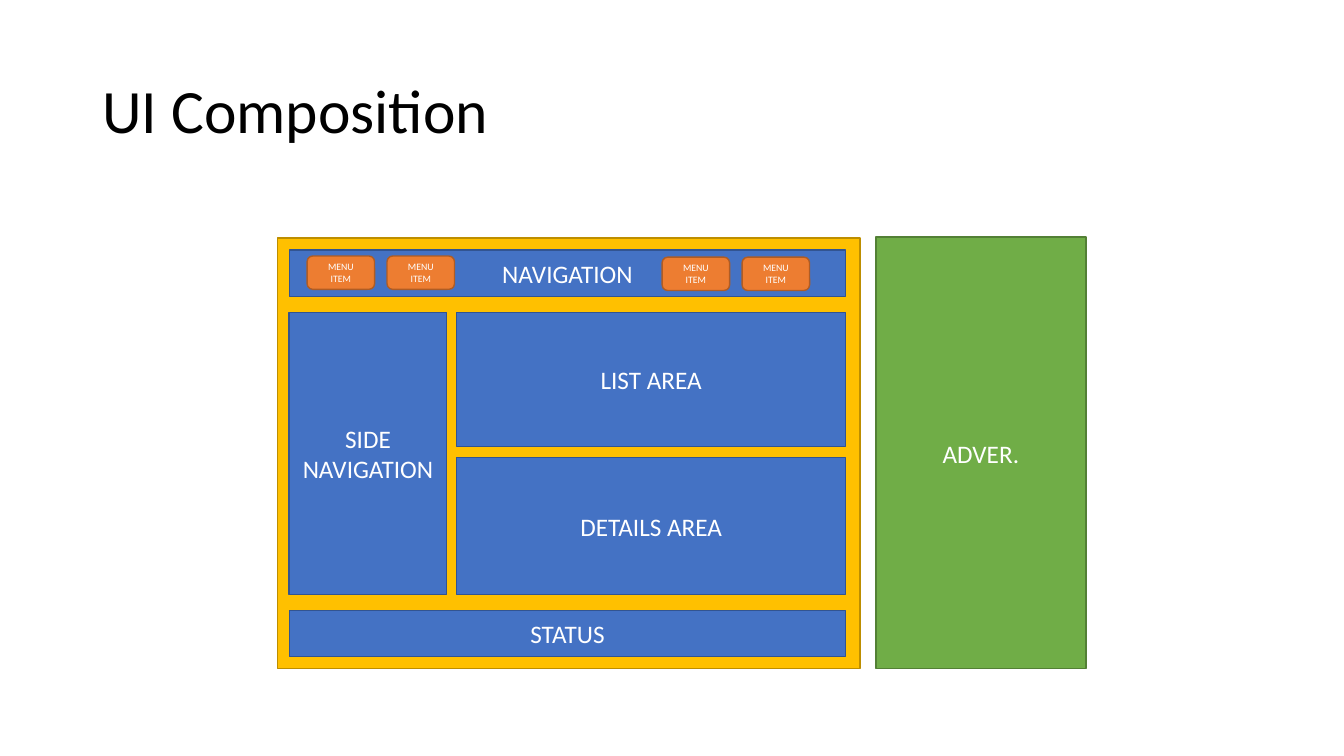
from pptx import Presentation
from pptx.dml.color import RGBColor
from pptx.enum import shapes, text
from pptx.util import Pt

RECT = shapes.MSO_SHAPE.RECTANGLE
ROUND = shapes.MSO_SHAPE.ROUNDED_RECTANGLE
BLUE, ORANGE = ("4472C4", "325491"), ("ED7D31", "AF5C24")
YELLOW, GREEN = ("FFC000", "BD8E00"), ("70AD47", "538035")


def write(sp, label, size, color, align):
    tf = sp.text_frame
    tf.word_wrap = True
    tf.vertical_anchor = text.MSO_ANCHOR.MIDDLE
    tf.text = label
    p = tf.paragraphs[0]
    p.alignment = align
    for name, value in {"size": Pt(size), "name": "Calibri"}.items():
        setattr(p.runs[0].font, name, value)
    p.runs[0].font.color.rgb = RGBColor.from_string(color)
    return p


def add_panel(kind, box, colors, label="", size=18):
    """Draw a panel; box is left, top, width, height and colors is fill, line."""
    sp = s.shapes.add_shape(kind, *map(Pt, box))
    sp.shadow.inherit = False
    sp.fill.solid()
    sp.fill.fore_color.rgb = RGBColor.from_string(colors[0])
    sp.line.color.rgb = RGBColor.from_string(colors[1])
    sp.line.width = Pt(1)
    if label:
        write(sp, label, size, "FFFFFF", text.PP_ALIGN.CENTER)


prs = Presentation()
prs.slide_width, prs.slide_height = Pt(960), Pt(540)
s = prs.slides.add_slide(prs.slide_layouts[5])

title = s.shapes.title
for name, value in {"left": 66, "top": 28.8, "width": 828, "height": 104.4}.items():
    setattr(title, name, Pt(value))
p = write(title, "UI Composition", 44, "000000", text.PP_ALIGN.LEFT)
p.line_spacing = 0.9

# Page frame and navigation bar
left, width, bar_height = 206.6, 397.5, 33.1
add_panel(RECT, (198, 170, 416.2, 307.4), YELLOW)
add_panel(RECT, (left, 178.6, width, bar_height), BLUE, "NAVIGATION")

# Two pairs of menu items
for pair_left, top in ((219.4, 182.9), (473, 183.7)):
    for i in range(2):
        add_panel(ROUND, (pair_left + i * 57.1, top, 48.2, 23.8),
                  ORANGE, "MENU ITEM", 7)

# Content areas, status bar and advertising column
main_left = 326.2
main_width = left + width - main_left
for box, label in (
    ((left, 223.2, 112.6, 201.6), "SIDE NAVIGATION"),
    ((main_left, 223.2, main_width, 95.8), "LIST AREA"),
    ((main_left, 326.9, main_width, 97.9), "DETAILS AREA"),
    ((left, 435.9, width, bar_height), "STATUS"),
):
    add_panel(RECT, box, BLUE, label)
add_panel(RECT, (625.7, 169.4, 150, 308.2), GREEN, "ADVER.")

prs.save("out.pptx")
